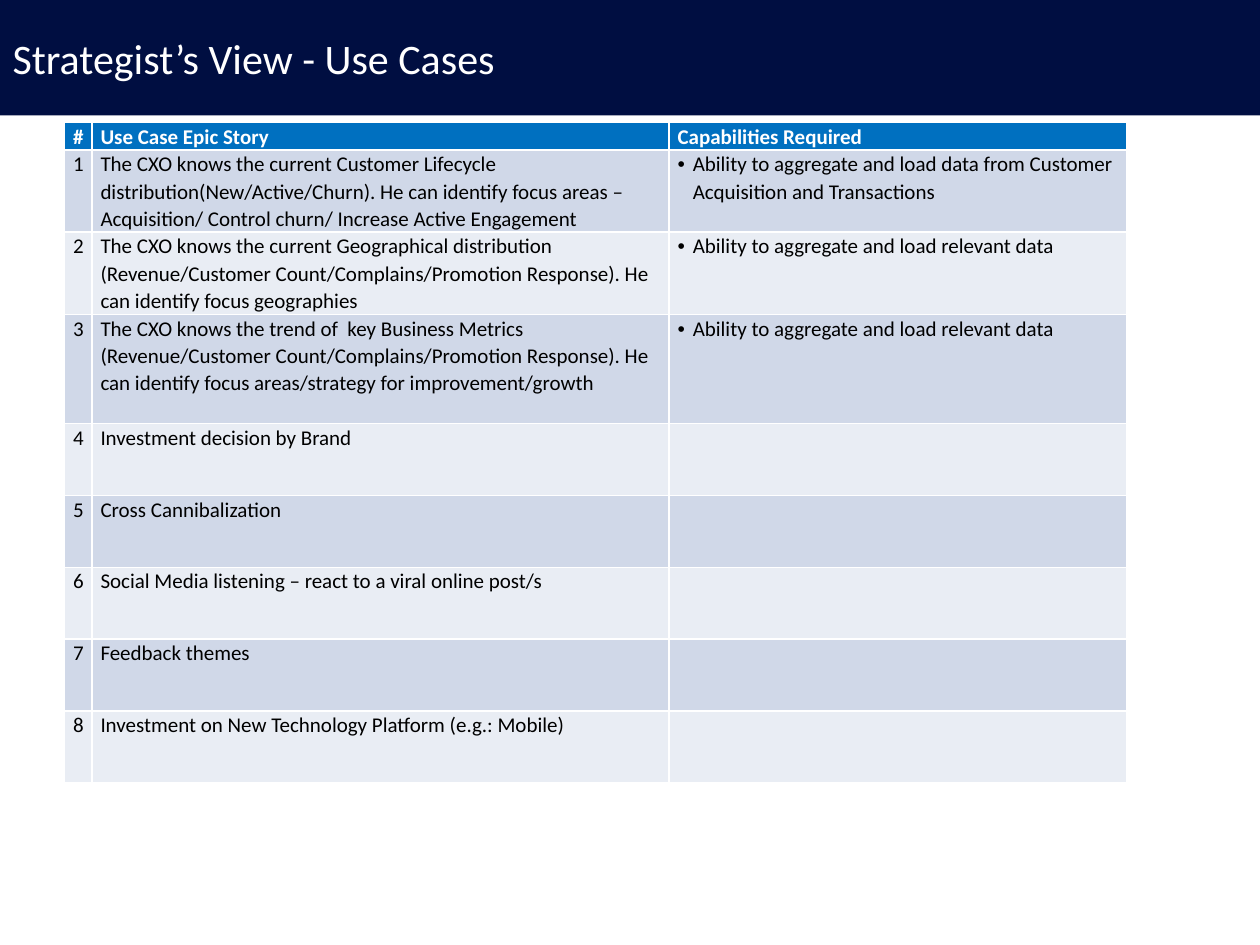
from lxml import etree
from pptx import Presentation
from pptx.dml.color import RGBColor
from pptx.enum.text import MSO_ANCHOR, MSO_AUTO_SIZE, PP_ALIGN
from pptx.oxml.ns import qn
from pptx.util import Pt

LEFT = PP_ALIGN.LEFT
MIDDLE = MSO_ANCHOR.MIDDLE
NO_AUTOFIT = MSO_AUTO_SIZE.NONE

NAVY = RGBColor(0x00, 0x0E, 0x41)
BLUE = RGBColor(0x00, 0x70, 0xC0)
BAND_DARK = RGBColor(0xD0, 0xD8, 0xE8)
BAND_LIGHT = RGBColor(0xE9, 0xED, 0xF4)
WHITE = RGBColor(0xFF, 0xFF, 0xFF)
BLACK = RGBColor(0x00, 0x00, 0x00)

FONT = "Calibri"
TITLE_ONLY_LAYOUT = 5
BULLET_INDENT = Pt(8.64)
CELL_INSET = Pt(4.95)
COLUMN_WIDTHS = (15.6, 329.8, 261.4)
HEADER_HEIGHT = 15.7

HEADINGS = ("#", "Use Case Epic Story", "Capabilities Required")
RELEVANT_DATA = "Ability to aggregate and load relevant data"
USE_CASES = (
    (46.9, "The CXO knows the current Customer Lifecycle "
           "distribution(New/Active/Churn). He can identify focus areas – "
           "Acquisition/ Control churn/ Increase Active Engagement",
     "Ability to aggregate and load data from Customer Acquisition and Transactions"),
    (46.9, "The CXO knows the current Geographical distribution "
           "(Revenue/Customer Count/Complains/Promotion Response). "
           "He can identify focus geographies", RELEVANT_DATA),
    (62.4, "The CXO knows the trend of  key Business Metrics "
           "(Revenue/Customer Count/Complains/Promotion Response). "
           "He can identify focus areas/strategy for improvement/growth", RELEVANT_DATA),
    (41.1, "Investment decision by Brand", ""),
    (41.1, "Cross Cannibalization", ""),
    (41.1, "Social Media listening – react to a viral online post/s", ""),
    (41.1, "Feedback themes", ""),
    (41.1, "Investment on New Technology Platform (e.g.: Mobile)", ""),
)


def add_run(paragraph, text, size, color, bold=False):
    """Append one formatted run to a paragraph."""
    run = paragraph.add_run()
    run.text = text
    run.font.name = FONT
    run.font.size = Pt(size)
    run.font.bold = bold
    run.font.color.rgb = color


def add_bullet(paragraph):
    """Give a paragraph a round bullet with a hanging indent."""
    properties = paragraph._p.get_or_add_pPr()
    properties.set("marL", str(BULLET_INDENT))
    properties.set("indent", str(-BULLET_INDENT))
    etree.SubElement(properties, qn("a:buFont")).set("typeface", "Arial")
    etree.SubElement(properties, qn("a:buChar")).set("char", "•")


def fill_cell(cell, text, fill, color, bold=False, bulleted=False):
    """Colour a cell and write its text."""
    cell.fill.solid()
    cell.fill.fore_color.rgb = fill
    cell.margin_left = cell.margin_right = CELL_INSET
    cell.margin_top = cell.margin_bottom = 0
    if text:
        paragraph = cell.text_frame.paragraphs[0]
        paragraph.line_spacing = 1.07
        if bulleted:
            add_bullet(paragraph)
        add_run(paragraph, text, 12, color, bold)


def add_title_band(slide, left, top, width, height):
    """Turn the title placeholder into the dark band across the top."""
    title = slide.shapes.title
    title.left, title.top = Pt(left), Pt(top)
    title.width, title.height = Pt(width), Pt(height)
    title.fill.solid()
    title.fill.fore_color.rgb = NAVY
    frame = title.text_frame
    frame.auto_size = NO_AUTOFIT
    frame.vertical_anchor = MIDDLE
    paragraph = frame.paragraphs[0]
    paragraph.alignment = LEFT
    add_run(paragraph, "Strategist’s View - Use Cases", 24, WHITE)


def add_use_case_table(slide, left, top):
    """Place the numbered table of use cases and capabilities."""
    heights = [HEADER_HEIGHT] + [height for height, _, _ in USE_CASES]
    table = slide.shapes.add_table(
        len(heights), len(COLUMN_WIDTHS), Pt(left), Pt(top),
        Pt(sum(COLUMN_WIDTHS)), Pt(sum(heights))).table
    for column, width in zip(table.columns, COLUMN_WIDTHS):
        column.width = Pt(width)
    for row, height in zip(table.rows, heights):
        row.height = Pt(height)
    for index, heading in enumerate(HEADINGS):
        fill_cell(table.cell(0, index), heading, BLUE, WHITE, bold=True)
    for number, (_, story, capability) in enumerate(USE_CASES, start=1):
        band = BAND_DARK if number % 2 else BAND_LIGHT
        fill_cell(table.cell(number, 0), str(number), band, BLACK)
        fill_cell(table.cell(number, 1), story, band, BLACK)
        fill_cell(table.cell(number, 2), capability, band, BLACK, bulleted=True)


def main():
    """Build and save the slide."""
    presentation = Presentation()
    presentation.slide_width, presentation.slide_height = Pt(720), Pt(540)
    slide = presentation.slides.add_slide(presentation.slide_layouts[TITLE_ONLY_LAYOUT])
    add_title_band(slide, 0, 0, 720, 66)
    add_use_case_table(slide, 36.9, 70)
    presentation.save("out.pptx")


if __name__ == "__main__":
    main()
